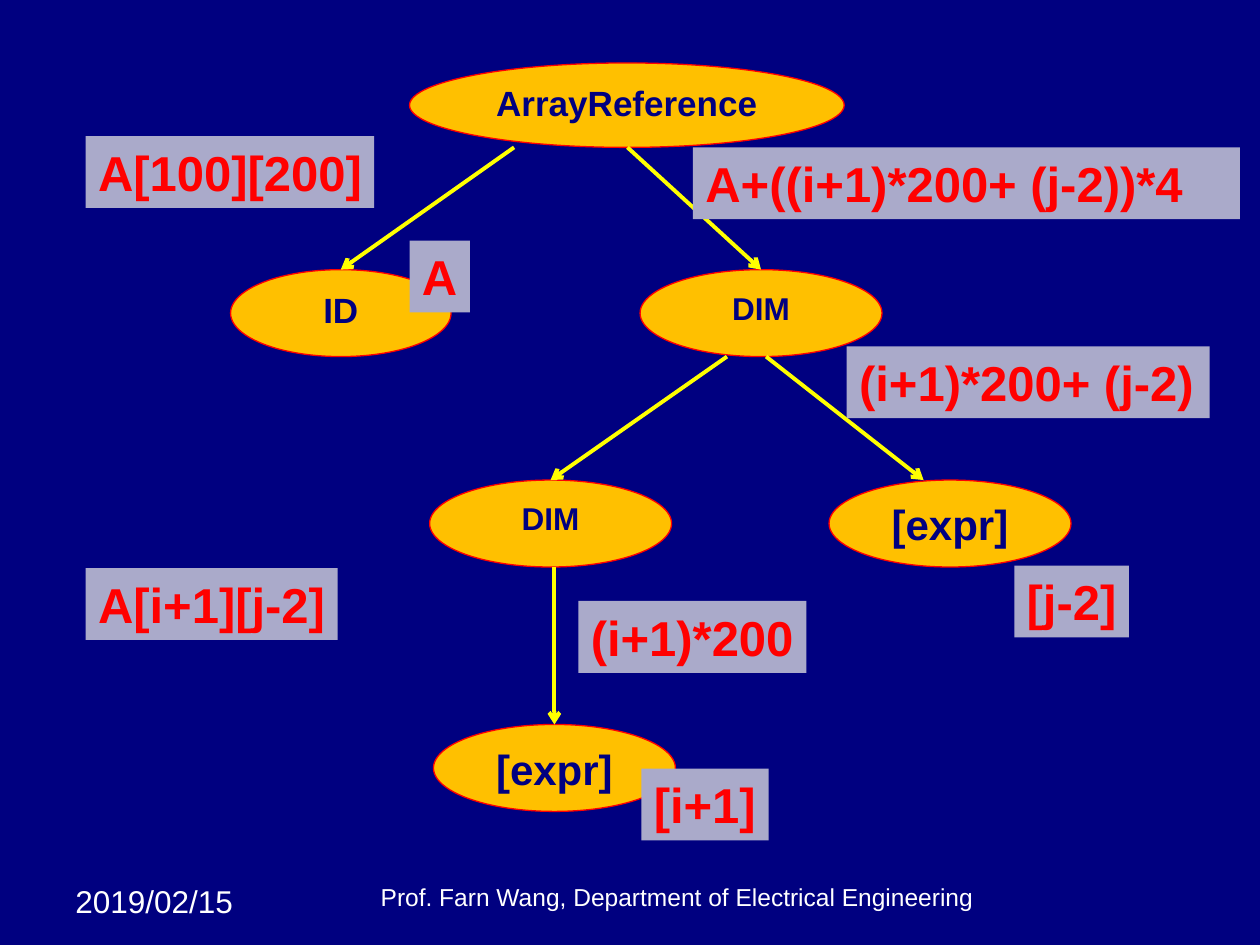
from dataclasses import dataclass

import pptx
import pptx.dml.color
import pptx.enum.shapes
import pptx.enum.text
import pptx.oxml
import pptx.oxml.ns
import pptx.util

Inches = pptx.util.Inches
Pt = pptx.util.Pt
RGBColor = pptx.dml.color.RGBColor
SHAPE = pptx.enum.shapes.MSO_SHAPE
ANCHOR = pptx.enum.text.MSO_ANCHOR
ALIGN = pptx.enum.text.PP_ALIGN
AUTO_SIZE = pptx.enum.text.MSO_AUTO_SIZE

NAVY = RGBColor(0x00, 0x00, 0x80)
AMBER = RGBColor(0xFF, 0xC0, 0x00)
RED = RGBColor(0xFF, 0x00, 0x00)
YELLOW = RGBColor(0xFF, 0xFF, 0x00)
LAVENDER = RGBColor(0xAA, 0xAA, 0xCA)
WHITE = RGBColor(0xFF, 0xFF, 0xFF)

FONT = "Arial"
NODE_H = 0.69
LABEL_H = 0.57


@dataclass
class Node:
    text: str
    left: float
    top: float
    size: int
    width: float = 1.92
    height: float = NODE_H


@dataclass
class Edge:
    """Arrow from a point to a node, at its top centre unless end_x is given."""
    start_x: float
    start_y: float
    target: str
    end_x: float | None = None


@dataclass
class Label:
    text: str
    left: float
    top: float
    width: float
    wrap: bool = False


NODES = {
    "root": Node("ArrayReference", 3.25, 0.5, 20, 3.45, 0.67),
    "id": Node("ID", 1.83, 2.14, 20, 1.75),
    "outer": Node("DIM", 5.08, 2.14, 18),
    "inner": Node("DIM", 3.41, 3.81, 18),
    "column": Node("[expr]", 6.58, 3.81, 24),
    "row": Node("[expr]", 3.44, 5.75, 24),
}

EDGES = [
    Edge(4.08, 1.17, "id"),
    Edge(4.98, 1.17, "outer"),
    Edge(5.77, 2.83, "inner"),
    Edge(6.08, 2.83, "column", 7.33),
    Edge(4.4, 4.5, "row"),
]

LABELS = [
    Label("A[i+1][j-2]", 0.68, 4.51, 2),
    Label("A", 3.25, 1.91, 0.48),
    Label("[i+1]", 5.09, 6.1, 1.01),
    Label("[j-2]", 8.05, 4.49, 0.91),
    Label("A[100][200]", 0.68, 1.08, 2.29),
    Label("(i+1)*200", 4.59, 4.77, 1.81),
    Label("(i+1)*200+ (j-2)", 6.72, 2.75, 2.88, wrap=True),
    Label("A+((i+1)*200+ (j-2))*4", 5.5, 1.17, 4.34, wrap=True),
]


def write(sp, text: str, size: int, color: RGBColor, bold: bool = False,
          align=ALIGN.LEFT, anchor=ANCHOR.TOP, wrap: bool = True) -> None:
    tf = sp.text_frame
    tf.word_wrap = wrap
    tf.vertical_anchor = anchor
    p = tf.paragraphs[0]
    p.alignment = align
    r = p.add_run()
    r.text = text
    r.font.name = FONT
    r.font.size = Pt(size)
    r.font.bold = bold
    r.font.color.rgb = color


def add_filled(slide, kind, left: float, top: float, width: float,
               height: float, color: RGBColor):
    sp = slide.shapes.add_shape(kind, Inches(left), Inches(top),
                                Inches(width), Inches(height))
    sp.shadow.inherit = False
    sp.fill.solid()
    sp.fill.fore_color.rgb = color
    return sp


def add_node(slide, node: Node):
    sp = add_filled(slide, SHAPE.OVAL, node.left, node.top,
                    node.width, node.height, AMBER)
    sp.line.color.rgb = RED
    sp.line.width = Pt(0.75)
    write(sp, node.text, node.size, NAVY, bold=True, align=ALIGN.CENTER)
    return sp


def add_edge(slide, edge: Edge, ovals: dict) -> None:
    node = NODES[edge.target]
    end_x = edge.end_x or node.left + node.width / 2
    line = slide.shapes.add_connector(
        pptx.enum.shapes.MSO_CONNECTOR.STRAIGHT,
        Inches(edge.start_x), Inches(edge.start_y),
        Inches(end_x), Inches(node.top))
    if edge.end_x is None:
        line.end_connect(ovals[edge.target], 0)
    line.line.color.rgb = YELLOW
    line.line.width = Pt(2.25)
    ln = line.line._get_or_add_ln()
    tail = pptx.oxml.ns.qn("a:tailEnd")
    ln.append(ln.makeelement(tail, {"type": "arrow"}))
    sp_pr = line._element.spPr
    sp_pr.append(sp_pr.makeelement(pptx.oxml.ns.qn("a:effectLst"), {}))


def add_label(slide, label: Label) -> None:
    sp = add_filled(slide, SHAPE.RECTANGLE, label.left, label.top,
                    label.width, LABEL_H, LAVENDER)
    sp.line.fill.background()
    write(sp, label.text, 28, RED, bold=True, wrap=label.wrap)
    sp.text_frame.auto_size = AUTO_SIZE.SHAPE_TO_FIT_TEXT


def add_text(slide, left: float, top: float, width: float, height: float,
             text: str, size: int, **layout) -> None:
    sp = slide.shapes.add_textbox(Inches(left), Inches(top),
                                  Inches(width), Inches(height))
    write(sp, text, size, WHITE, **layout)


def main() -> None:
    prs = pptx.Presentation()
    prs.slide_width = Inches(10)
    prs.slide_height = Inches(7.5)
    slide = prs.slides.add_slide(prs.slide_layouts[6])
    slide.background.fill.solid()
    slide.background.fill.fore_color.rgb = NAVY

    ovals = {name: add_node(slide, node) for name, node in NODES.items()}
    for edge in EDGES:
        add_edge(slide, edge, ovals)
    for label in LABELS:
        add_label(slide, label)

    add_text(slide, 0.5, 6.95, 1.58, 0.4, "2019/02/15", 18)
    add_text(slide, 2, 6.95, 6.75, 0.33,
             "Prof. Farn Wang, Department of Electrical Engineering", 14,
             align=ALIGN.CENTER, anchor=ANCHOR.BOTTOM)
    prs.save("out.pptx")


if __name__ == "__main__":
    main()
